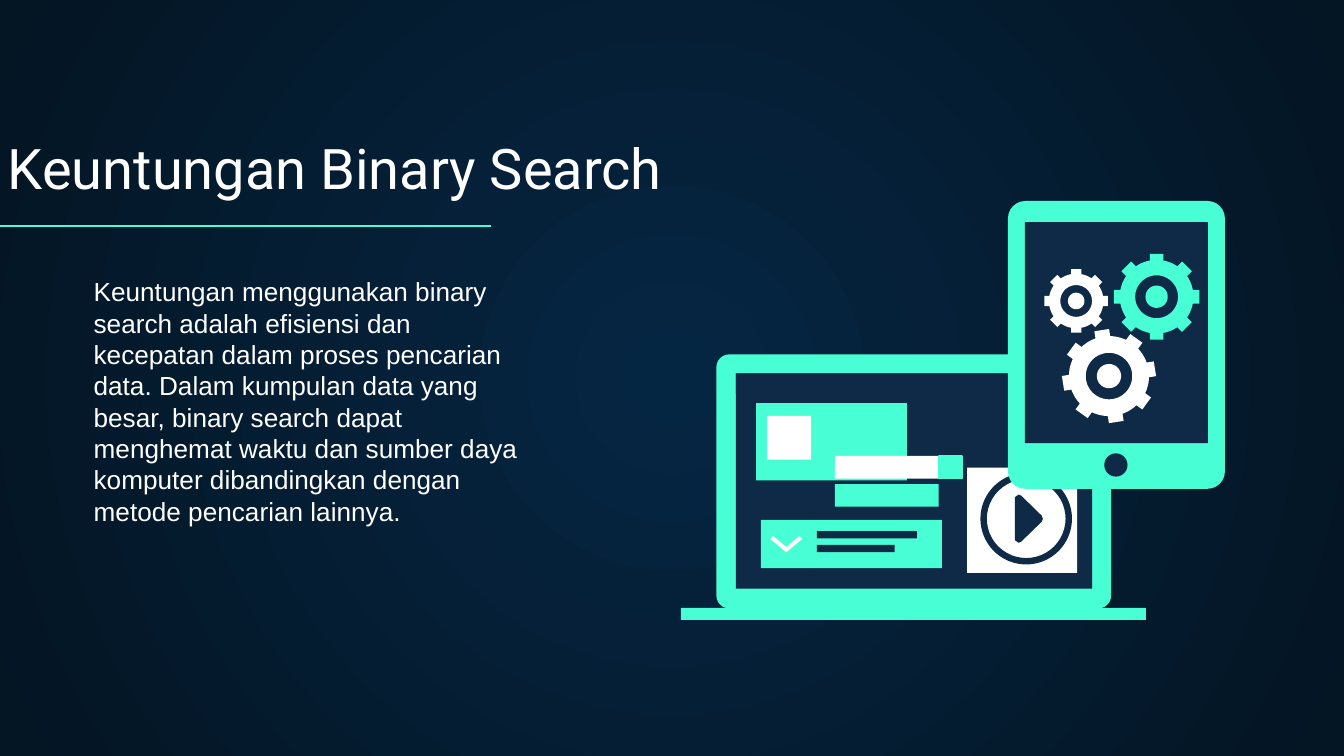
from math import asin, cos, radians, sin, sqrt, tau

from lxml.etree import SubElement
from pptx import Presentation
from pptx.dml.color import RGBColor
from pptx.enum.shapes import MSO_CONNECTOR, MSO_SHAPE
from pptx.enum.text import MSO_ANCHOR, MSO_AUTO_SIZE, PP_ALIGN
from pptx.oxml.ns import qn
from pptx.util import Cm, Pt

COLORS = {
    "mint": "48FFD5",
    "navy": "0E2A47",
    "white": "FFFFFF",
    "glow": "052643",
    "edge": "041523",
}
TEETH = 8
TITLE = "Keuntungan Binary Search"
BENEFITS = (
    "Keuntungan menggunakan binary search adalah efisiensi dan kecepatan "
    "dalam proses pencarian data. Dalam kumpulan data yang besar, binary "
    "search dapat menghemat waktu dan sumber daya komputer dibandingkan "
    "dengan metode pencarian lainnya."
)


def rgb(name):
    """Return the named palette colour."""
    return RGBColor.from_string(COLORS[name])


def paint_background(slide):
    """Fill the background with a glow that darkens from the centre."""
    fill = slide.background.fill
    fill.gradient()
    for stop, name, position in zip(fill.gradient_stops, ("glow", "edge"), (0, 1)):
        stop.color.rgb = rgb(name)
        stop.position = position
    gradient = slide.background._cSld.find(".//" + qn("a:gradFill"))
    gradient.remove(gradient.find(qn("a:lin")))
    circle = SubElement(gradient, qn("a:path"), {"path": "circle"})
    SubElement(circle, qn("a:fillToRect"), dict.fromkeys("ltrb", "50000"))


def write_text(placeholder, text, box, font, size, anchor, auto_size):
    """Place a placeholder and set its single left-aligned paragraph."""
    placeholder.left, placeholder.top, placeholder.width, placeholder.height = map(Cm, box)
    frame = placeholder.text_frame
    frame.text = text
    frame.word_wrap = True
    frame.auto_size = auto_size
    frame.vertical_anchor = anchor
    frame.margin_left = frame.margin_right = Cm(0.25)
    frame.margin_top = frame.margin_bottom = Cm(0.25 if anchor == MSO_ANCHOR.BOTTOM else 0.13)
    paragraph = frame.paragraphs[0]
    paragraph.alignment = PP_ALIGN.LEFT
    paragraph.space_before = Pt(0)
    paragraph.line_spacing = 1.0
    paragraph.font.name = font
    paragraph.font.size = Pt(size)
    paragraph.font.color.rgb = rgb("white")


def add_underline(slide, start, end):
    """Draw the thin mint line below the title."""
    underline = slide.shapes.add_connector(MSO_CONNECTOR.STRAIGHT, *map(Cm, start + end))
    underline.line.color.rgb = rgb("mint")
    underline.line.width = Pt(0.75)
    SubElement(underline._element.spPr, qn("a:effectLst"))


def paint(shape, color):
    """Give a shape a flat fill without line or shadow."""
    shape.shadow.inherit = False
    shape.fill.solid()
    shape.fill.fore_color.rgb = rgb(color)
    shape.line.fill.background()
    return shape


def add_preset(slide, kind, box, color, adjustment=None):
    """Add a flat preset shape with an optional adjustment."""
    shape = paint(slide.shapes.add_shape(kind, *map(Cm, box)), color)
    if adjustment is not None:
        shape.adjustments[0] = adjustment
    return shape


def add_block(slide, box, color):
    """Add a flat rectangle."""
    return add_preset(slide, MSO_SHAPE.RECTANGLE, box, color)


def add_outline(slide, contours, color):
    """Add one freeform made of closed contours."""
    contours = [[(Cm(x), Cm(y)) for x, y in contour] for contour in contours]
    builder = slide.shapes.build_freeform(*contours[0][0])
    for index, (start, *others) in enumerate(contours):
        if index:
            builder.move_to(*start)
        builder.add_line_segments(others, close=True)
    return paint(builder.convert_to_shape(), color)


def circle_points(center, radius, count=48):
    """Return evenly spaced points on a circle."""
    x, y = center
    angles = [tau * step / count for step in range(count)]
    return [(x + radius * cos(angle), y + radius * sin(angle)) for angle in angles]


def rim_points(center, radius, turn):
    """Return the toothed rim of a gear."""
    x, y = center
    body, half_tooth = 0.86 * radius, 0.16 * radius
    root = sqrt(body**2 - half_tooth**2)
    pitch, half_angle = tau / TEETH, asin(half_tooth / body)
    tooth = [(root, -half_tooth), (radius, -half_tooth), (radius, half_tooth), (root, half_tooth)]
    gap = pitch - 2 * half_angle
    arc = [half_angle + gap * step / 5 for step in range(1, 5)]
    profile = tooth + [(body * cos(angle), body * sin(angle)) for angle in arc]
    points = []
    for index in range(TEETH):
        angle = radians(turn) + index * pitch
        points += [
            (x + u * cos(angle) - v * sin(angle), y + u * sin(angle) + v * cos(angle))
            for u, v in profile
        ]
    return points


def add_gear(slide, center, radius, color, turn=0):
    """Add a gear with a ring-shaped hole around its hub."""
    rim = rim_points(center, radius, turn)
    hole = circle_points(center, 0.5 * radius)
    hub = circle_points(center, 0.26 * radius)
    add_outline(slide, [rim, hole, hub], color)


def draw_laptop(slide):
    """Draw the laptop with its page of cards and a video."""
    add_preset(slide, MSO_SHAPE.ROUNDED_RECTANGLE, (13.54, 6.7, 7.46, 4.8), "mint", 0.05)
    for box, color in [
        ((13.91, 7.06, 6.73, 4.07), "navy"),
        ((12.87, 11.49, 8.79, 0.23), "mint"),
        ((13.91, 7.06, 6.73, 0.38), "navy"),
        ((14.29, 7.62, 2.85, 1.46), "mint"),
        ((14.5, 7.86, 0.83, 0.83), "white"),
        ((15.29, 9.83, 2.51, 0.91), "mint"),
        ((15.44, 10.04, 1.89, 0.14), "navy"),
        ((15.44, 10.3, 1.47, 0.14), "navy"),
        ((14.38, 9.83, 0.91, 0.91), "mint"),
    ]:
        add_block(slide, box, color)
    chevron = [(14.61, 10.13), (14.86, 10.34), (15.11, 10.13),
               (15.16, 10.19), (14.86, 10.44), (14.56, 10.19)]
    add_outline(slide, [chevron], "white")
    add_block(slide, (15.78, 9.15, 1.96, 0.43), "mint")
    add_block(slide, (15.78, 8.62, 1.96, 0.43), "white")
    search_button = add_block(slide, (17.75, 8.62, 0.43, 0.43), "mint")
    search_button.line.color.rgb = rgb("mint")
    search_button.line.width = Pt(0.75)
    add_block(slide, (18.28, 8.84, 2.08, 1.99), "white")
    add_preset(slide, MSO_SHAPE.DONUT, (18.53, 8.94, 1.73, 1.73), "navy", 0.07)
    play = [(19.18, 9.4), (19.25, 9.35), (19.3, 9.37), (19.69, 9.75), (19.71, 9.81),
            (19.69, 9.86), (19.3, 10.24), (19.25, 10.26), (19.18, 10.21)]
    add_outline(slide, [play], "navy")


def draw_tablet(slide):
    """Draw the tablet with three gears on its screen."""
    add_preset(slide, MSO_SHAPE.ROUNDED_RECTANGLE, (19.05, 3.8, 4.1, 5.44), "mint", 0.08)
    add_block(slide, (19.37, 4.2, 3.46, 4.18), "navy")
    add_preset(slide, MSO_SHAPE.OVAL, (20.87, 8.57, 0.44, 0.44), "navy")
    add_gear(slide, (21.86, 5.61), 0.81, "mint")
    add_gear(slide, (20.34, 5.69), 0.6, "white")
    add_gear(slide, (20.96, 7.11), 0.88, "white", -9)


def main():
    """Build the slide and save it."""
    presentation = Presentation()
    presentation.slide_width, presentation.slide_height = Cm(25.4), Cm(14.29)
    slide = presentation.slides.add_slide(presentation.slide_layouts[0])
    paint_background(slide)
    title, benefits = slide.placeholders
    write_text(title, TITLE, (-0.1, 2.36, 13.74, 1.68), "Roboto", 30,
               MSO_ANCHOR.BOTTOM, MSO_AUTO_SIZE.NONE)
    add_underline(slide, (0, 4.27), (9.27, 4.27))
    draw_laptop(slide)
    draw_tablet(slide)
    write_text(benefits, BENEFITS, (1.52, 5.08, 8.59, 4.78), "Arial", 14,
               MSO_ANCHOR.TOP, MSO_AUTO_SIZE.SHAPE_TO_FIT_TEXT)
    presentation.save("out.pptx")


if __name__ == "__main__":
    main()
